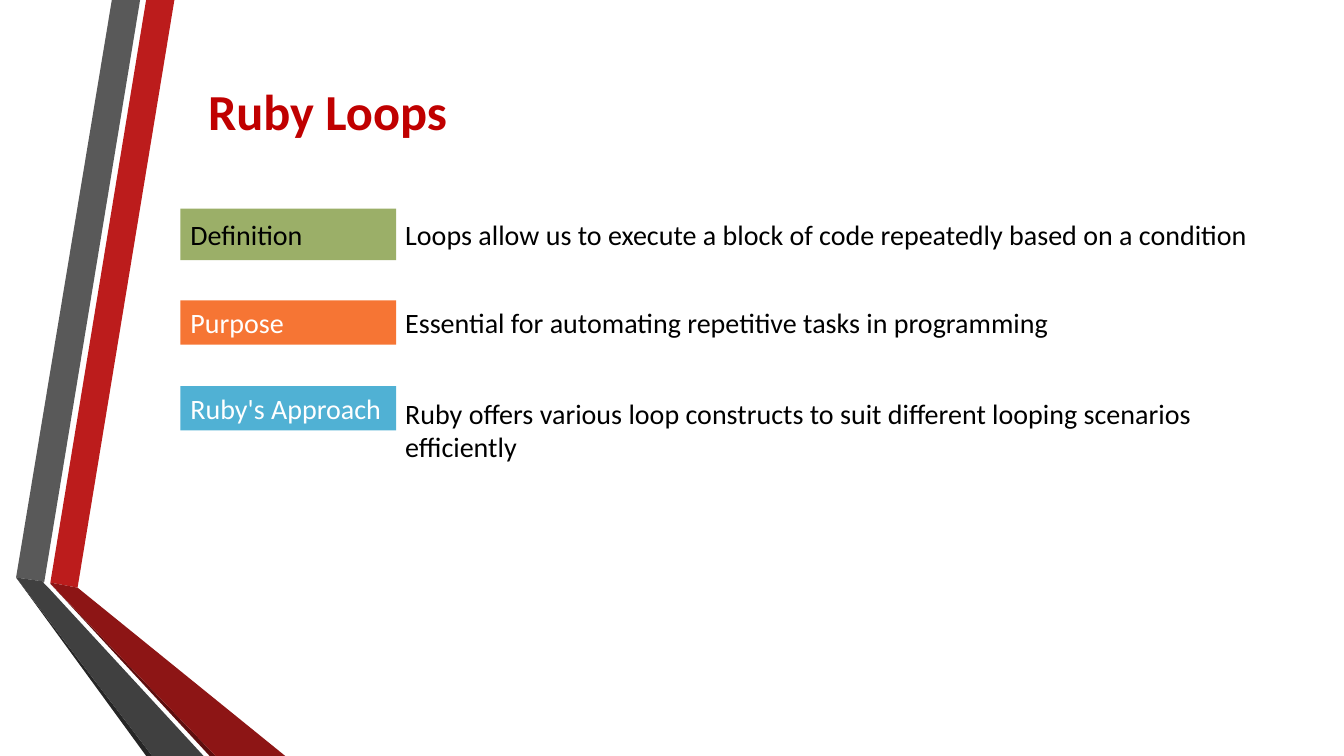
import pptx
import pptx.util
import pptx.dml.color
import pptx.enum.shapes
import pptx.enum.text
from dataclasses import dataclass

TITLE = "Ruby Loops"
ROWS = [
    {"label": "Definition", "fill": "9BAF68", "ink": "000000",
     "label_top": 2.07, "label_height": 0.51,
     "text": "Loops allow us to execute a block of code repeatedly based on a condition",
     "text_top": 2.05, "text_width": 8.69, "text_height": 0.55},
    {"label": "Purpose", "fill": "F67534", "ink": "FFFFFF",
     "label_top": 2.98, "label_height": 0.44,
     "text": "Essential for automating repetitive tasks in programming",
     "text_top": 2.94, "text_width": 6.77, "text_height": 0.51},
    {"label": "Ruby's Approach", "fill": "50B1D4", "ink": "FFFFFF",
     "label_top": 3.83, "label_height": 0.44,
     "text": "Ruby offers various loop constructs to suit different looping scenarios efficiently",
     "text_top": 4.01, "text_width": 9.12, "text_height": 0.51},
]
RIBBONS = [
    ("BC1C1C", [(0.5, 5.78), (0.77, 5.83), (1.73, 0), (1.45, 0)]),
    ("595959", [(1.39, 0), (1.11, 0), (0.16, 5.73), (0.44, 5.77)]),
    ("262626", [(0.16, 5.73), (1.45, 7.5), (1.51, 7.5)]),
    ("5E0E0E", [(0.5, 5.79), (2.08, 7.5), (2.14, 7.5)]),
    ("8D1515", [(0.5, 5.79), (2.14, 7.5), (2.83, 7.5), (0.77, 5.83), (0.5, 5.78)]),
    ("404040", [(2.02, 7.5), (0.48, 5.83), (0.43, 5.78), (0.44, 5.77), (0.16, 5.73), (1.51, 7.5)]),
]
SLIDE_SIZE = (13.33, 7.5)
TITLE_BOX = (1.88, 0.79, 2.74, 0.61)
LABEL_LEFT, LABEL_WIDTH = 1.79, 2.14
TEXT_LEFT = 3.92


@dataclass
class Theme:
    font: str = "Calibri"
    title_color: str = "C00000"
    text_color: str = "000000"
    title_size: int = 36
    text_size: int = 20


THEME = Theme()


def inches(values):
    return [pptx.util.Inches(value) for value in values]


def paint(shape, color):
    shape.fill.solid()
    shape.fill.fore_color.rgb = pptx.dml.color.RGBColor.from_string(color)
    shape.line.fill.background()
    shape.shadow.inherit = False


def write(shape, text, size, color, bold=False, centered=False, wrap=True):
    frame = shape.text_frame
    frame.text = text
    frame.word_wrap = wrap
    frame.vertical_anchor = pptx.enum.text.MSO_ANCHOR.MIDDLE
    paragraph = frame.paragraphs[0]
    alignment = pptx.enum.text.PP_ALIGN
    paragraph.alignment = alignment.CENTER if centered else alignment.LEFT
    font = paragraph.runs[0].font
    font.name = THEME.font
    font.size = pptx.util.Pt(size)
    font.bold = bold
    font.color.rgb = pptx.dml.color.RGBColor.from_string(color)


def draw_ribbon(slide, color, points):
    start, *others = [inches(point) for point in points]
    builder = slide.shapes.build_freeform(*start, scale=1.0)
    builder.add_line_segments(others, close=True)
    paint(builder.convert_to_shape(), color)


def draw_row(slide, row):
    text_box = slide.shapes.add_textbox(
        *inches((TEXT_LEFT, row["text_top"], row["text_width"], row["text_height"])))
    write(text_box, row["text"], THEME.text_size, THEME.text_color)
    label = slide.shapes.add_shape(
        pptx.enum.shapes.MSO_SHAPE.RECTANGLE,
        *inches((LABEL_LEFT, row["label_top"], LABEL_WIDTH, row["label_height"])))
    paint(label, row["fill"])
    write(label, row["label"], THEME.text_size, row["ink"])


def main():
    presentation = pptx.Presentation()
    presentation.slide_width, presentation.slide_height = inches(SLIDE_SIZE)
    slide = presentation.slides.add_slide(presentation.slide_layouts[6])
    for color, points in RIBBONS:
        draw_ribbon(slide, color, points)
    title = slide.shapes.add_textbox(*inches(TITLE_BOX))
    write(title, TITLE, THEME.title_size, THEME.title_color, bold=True, centered=True)
    for row in ROWS:
        draw_row(slide, row)
    presentation.save("out.pptx")


if __name__ == "__main__":
    main()
